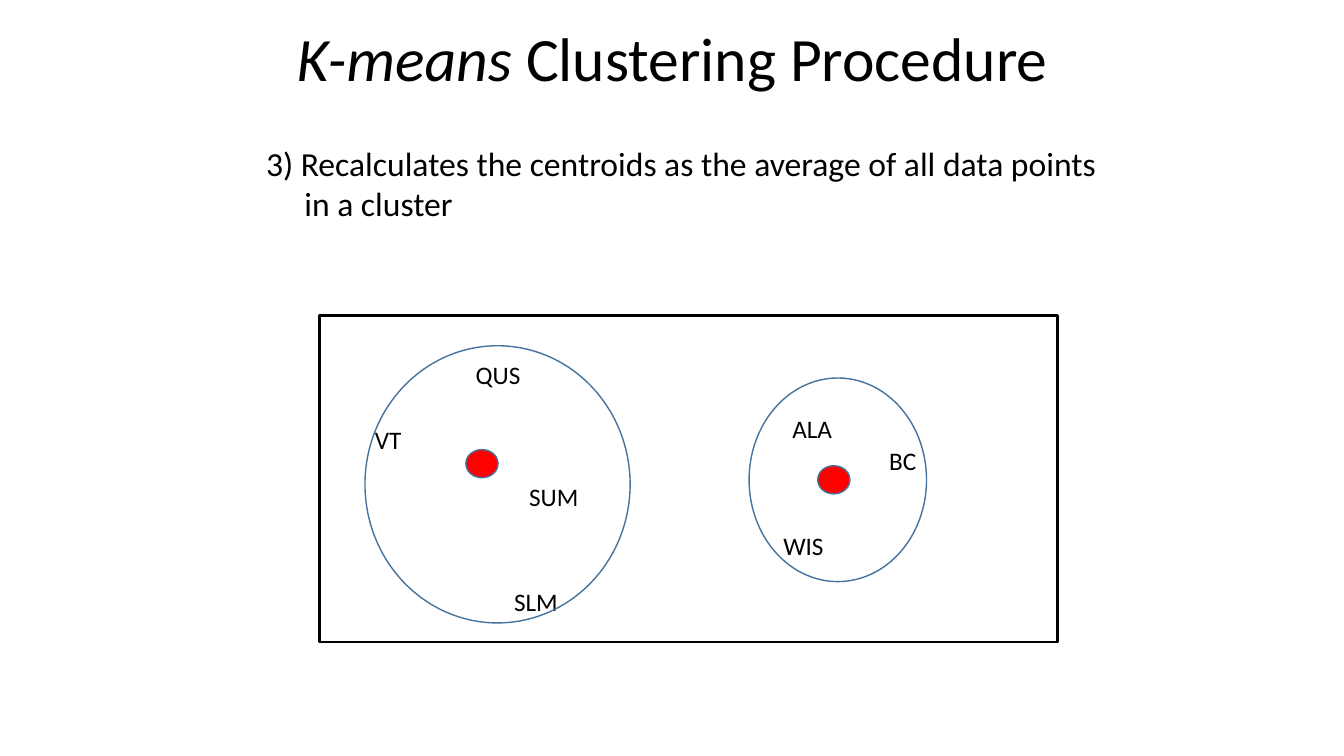
from pptx import Presentation
from pptx.dml.color import RGBColor
from pptx.enum.shapes import MSO_SHAPE
from pptx.enum.text import MSO_ANCHOR, MSO_AUTO_SIZE, PP_ALIGN
from pptx.util import Inches, Pt

BLACK = RGBColor(0x00, 0x00, 0x00)
RED = RGBColor(0xFF, 0x00, 0x00)
BLUE = RGBColor(0x43, 0x73, 0x9E)
FONT = "Calibri"

TITLE = [("K-means", True), (" Clustering Procedure", False)]
STEP = [
    ("3) Recalculates the centroids as the average of all data points", 0),
    ("in a cluster", 0.38),
]
FRAME = (3.17, 3.13, 7.32, 3.24)
POINTS = [
    ("VT", 3.62, 4.16, 0.47),
    ("ALA", 7.76, 4.05, 0.6),
    ("SUM", 5.15, 4.73, 0.69),
    ("QUS", 4.62, 3.52, 0.65),
    ("SLM", 5, 5.77, 0.64),
    ("BC", 8.72, 4.37, 0.47),
    ("WIS", 7.67, 5.21, 0.61),
]
CLUSTERS = [
    {"center": (4.62, 4.46), "ring": (3.62, 3.43, 2.63, 2.75)},
    {"center": (8.11, 4.62), "ring": (7.43, 3.75, 1.76, 2.02)},
]
DOT = (0.32, 0.28)


def add_run(para, text, size, slant=False):
    """Add one black run to a paragraph."""
    run = para.add_run()
    run.text = text
    run.font.name = FONT
    run.font.size = Pt(size)
    run.font.italic = slant
    run.font.color.rgb = BLACK


def add_title(slide):
    """Place and fill the title."""
    title = slide.shapes.title
    title.left, title.top = Inches(0.92), Inches(0.23)
    title.width, title.height = Inches(11.5), Inches(1.45)
    frame = title.text_frame
    frame.vertical_anchor = MSO_ANCHOR.TOP
    para = frame.paragraphs[0]
    para.alignment = PP_ALIGN.CENTER
    para.line_spacing = 0.9
    for text, slant in TITLE:
        add_run(para, text, 44, slant)


def add_text(slide, box, lines, size):
    """Add a text box with one paragraph per line and indent."""
    frame = slide.shapes.add_textbox(*map(Inches, box)).text_frame
    frame.word_wrap = False
    frame.auto_size = MSO_AUTO_SIZE.SHAPE_TO_FIT_TEXT
    for i, (text, indent) in enumerate(lines):
        para = frame.add_paragraph() if i else frame.paragraphs[0]
        para.alignment = PP_ALIGN.LEFT
        if indent:
            para._p.get_or_add_pPr().set("marL", str(Inches(indent)))
        add_run(para, text, size)


def add_form(slide, kind, box, color, width, fill=None):
    """Add an outlined shape, filled if a fill is given."""
    form = slide.shapes.add_shape(kind, *map(Inches, box))
    form.shadow.inherit = False
    form.line.color.rgb = color
    form.line.width = Pt(width)
    if fill is None:
        form.fill.background()
    else:
        form.fill.solid()
        form.fill.fore_color.rgb = fill


def main():
    """Build the slide and save it."""
    deck = Presentation()
    deck.slide_width, deck.slide_height = Inches(13.33), Inches(7.5)
    slide = deck.slides.add_slide(deck.slide_layouts[5])
    add_title(slide)
    add_text(slide, (2.54, 1.37, 8.58, 0.91), STEP, 24)
    add_form(slide, MSO_SHAPE.RECTANGLE, FRAME, BLACK, 2)
    for name, left, top, width in POINTS:
        add_text(slide, (left, top, width, 0.4), [(name, 0)], 18)
    for group in CLUSTERS:
        add_form(slide, MSO_SHAPE.OVAL, group["center"] + DOT, BLUE, 1, RED)
        add_form(slide, MSO_SHAPE.OVAL, group["ring"], BLUE, 1)
    deck.save("out.pptx")


if __name__ == "__main__":
    main()
